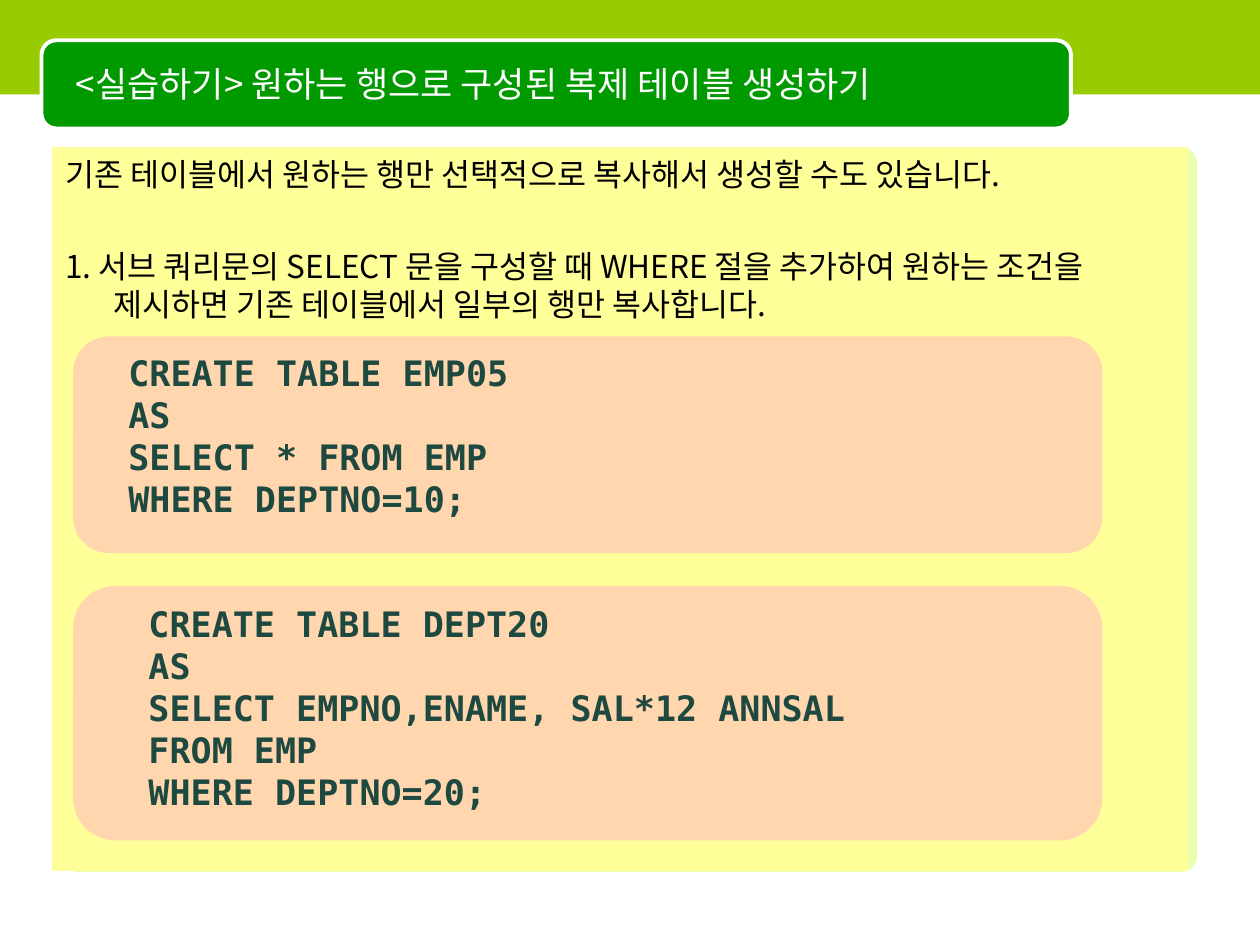
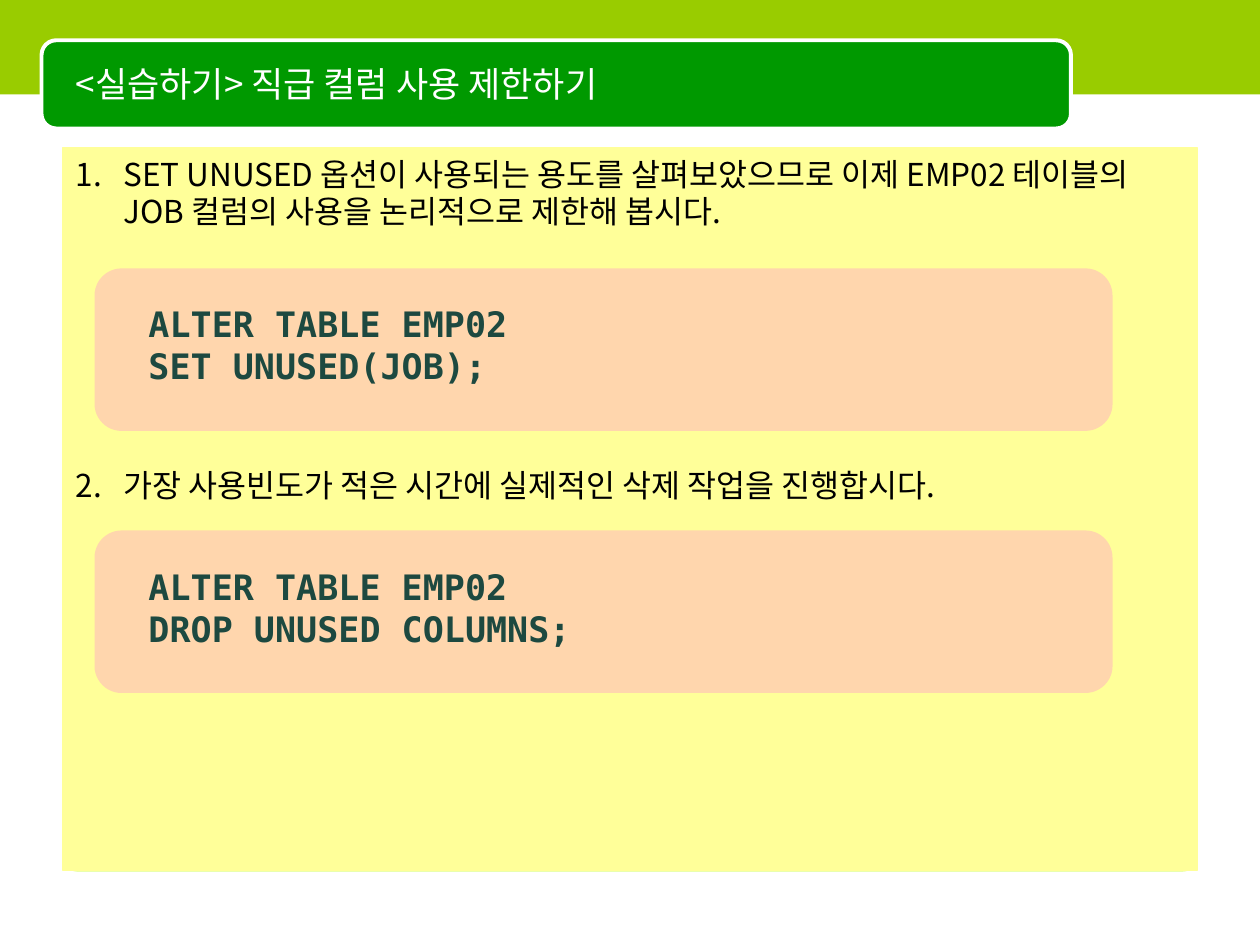
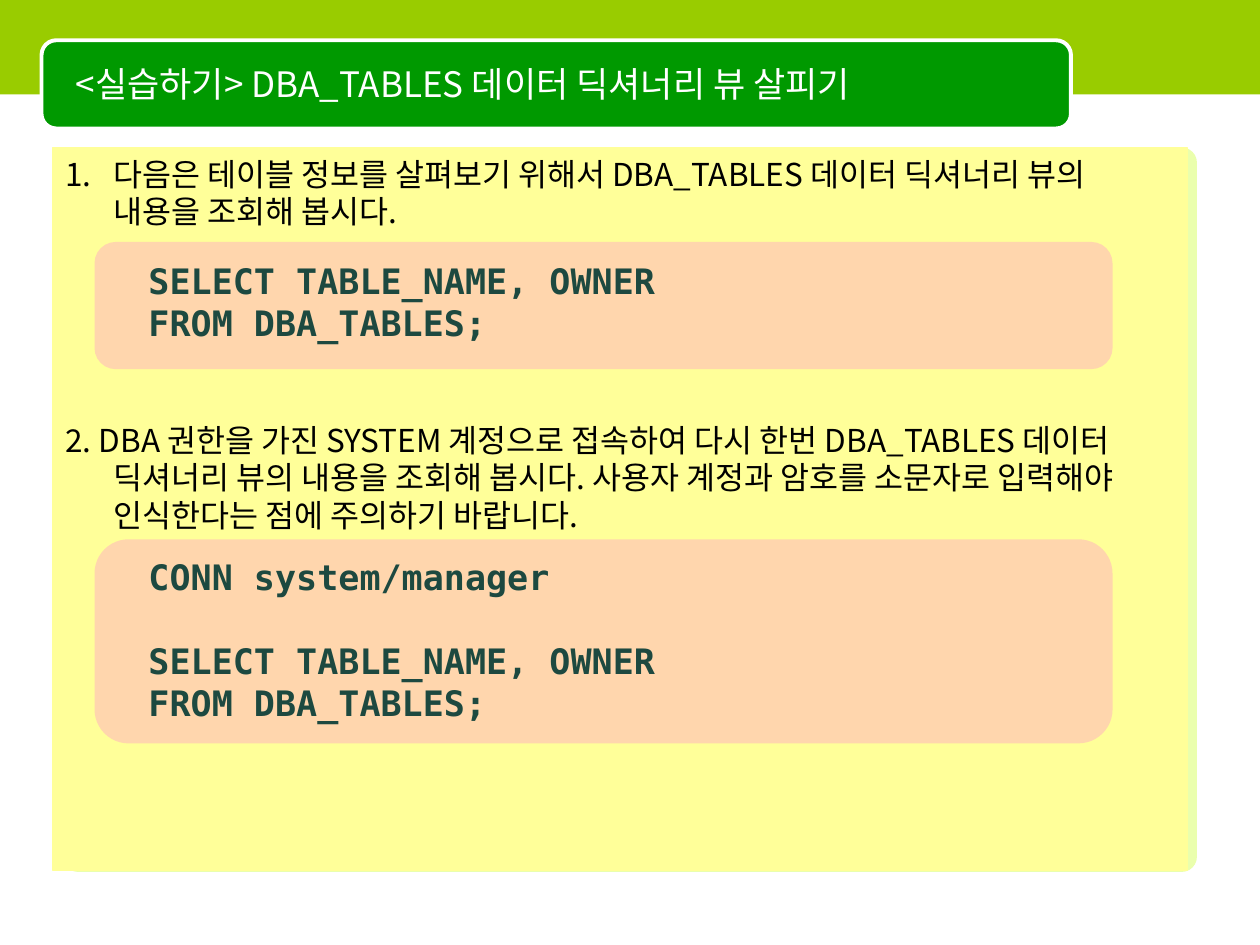
import pptx
import pptx.util
import pptx.dml.color
import pptx.enum.shapes
import pptx.enum.text
from lxml import etree
from pptx.oxml.ns import qn

Inches, Pt = pptx.util.Inches, pptx.util.Pt
SHAPES = pptx.enum.shapes.MSO_SHAPE
TEXT = pptx.enum.text


class Theme:
    band, title_band, white = "99CC00", "009900", "FFFFFF"
    backing, panel, code_panel = "CCFF33", "FFFF99", "FF99CC"
    body_color, code_color = "000000", "1D4940"
    body_font, code_font = "Noto Sans CJK KR", "DejaVu Sans Mono"
    title_size, body_size, code_size = 20, 18, 20
    body_leading, code_leading = 21.5, 24
    soft = 40  # percent opacity


# Content: steps are (text, numbered automatically, points before);
# code blocks hold panel place, inset of the code (x, y), and statements.
EXERCISES = [
    {
        "title": "<실습하기> 원하는 행으로 구성된 복제 테이블 생성하기",
        "panel_left": 0.42,
        "steps": [
            ("기존 테이블에서 원하는 행만 선택적으로 복사해서 생성할 수도 있습니다.", False, 0),
            ("1. 서브 쿼리문의 SELECT 문을 구성할 때 WHERE 절을 추가하여 원하는 조건을 "
             "제시하면 기존 테이블에서 일부의 행만 복사합니다.", False, 31.5),
        ],
        "code": [
            ((0.58, 2.67, 8.17, 1.72), (0.34, 0.07),
             [["CREATE TABLE EMP05", "AS", "SELECT * FROM EMP", "WHERE DEPTNO=10;"]]),
            ((0.58, 4.65, 8.17, 2.02), (0.5, 0.08),
             [["CREATE TABLE DEPT20", "AS", "SELECT EMPNO,ENAME, SAL*12 ANNSAL",
               "FROM EMP", "WHERE DEPTNO=20;"]]),
        ],
    },
    {
        "title": "<실습하기> 직급 컬럼 사용 제한하기",
        "panel_left": 0.5,
        "steps": [
            ("SET UNUSED 옵션이 사용되는 용도를 살펴보았으므로 이제 EMP02 테이블의 "
             "JOB 컬럼의 사용을 논리적으로 제한해 봅시다.", True, 0),
            ("가장 사용빈도가 적은 시간에 실제적인 삭제 작업을 진행합시다.", True, 135),
        ],
        "code": [
            ((0.75, 2.13, 8.08, 1.29), (0.33, 0.22),
             [["ALTER TABLE EMP02", "SET UNUSED(JOB);"]]),
            ((0.75, 4.21, 8.08, 1.29), (0.33, 0.23),
             [["ALTER TABLE EMP02", "DROP UNUSED COLUMNS;"]]),
        ],
    },
    {
        "title": "<실습하기> DBA_TABLES 데이터 딕셔너리 뷰 살피기",
        "panel_left": 0.42,
        "steps": [
            ("다음은 테이블 정보를 살펴보기 위해서 DBA_TABLES 데이터 딕셔너리 뷰의 "
             "내용을 조회해 봅시다.", True, 0),
            ("2. DBA 권한을 가진 SYSTEM 계정으로 접속하여 다시 한번 DBA_TABLES 데이터 "
             "딕셔너리 뷰의 내용을 조회해 봅시다. 사용자 계정과 암호를 소문자로 입력해야 "
             "인식한다는 점에 주의하기 바랍니다.", False, 109),
        ],
        "code": [
            ((0.75, 1.92, 8.08, 1.01), (0.33, 0.09),
             [["SELECT TABLE_NAME, OWNER", "FROM DBA_TABLES;"]]),
            ((0.75, 4.28, 8.08, 1.62), (0.33, 0.08),
             [["CONN system/manager"], ["SELECT TABLE_NAME, OWNER", "FROM DBA_TABLES;"]]),
        ],
    },
]


def rgb(color):
    return pptx.dml.color.RGBColor.from_string(color)


def place(shape, left, top, width, height):
    shape.left, shape.top = Inches(left), Inches(top)
    shape.width, shape.height = Inches(width), Inches(height)


def write(paragraph, text, *, size, color, font=Theme.body_font, bold=False,
          before=0, leading=None, hanging=0, numbered=False):
    """Fill one paragraph with formatted text."""
    props = paragraph._p.get_or_add_pPr()
    props.set("marL", str(Inches(hanging)))
    props.set("indent", str(-Inches(hanging)))
    if numbered:
        etree.SubElement(props, qn("a:buFont"), typeface=font)
        etree.SubElement(props, qn("a:buAutoNum"), type="arabicPeriod")
    else:
        etree.SubElement(props, qn("a:buNone"))
    paragraph.alignment = TEXT.PP_ALIGN.LEFT
    paragraph.space_before = Pt(before)
    if leading:
        paragraph.line_spacing = Pt(leading)
    run = paragraph.add_run()
    run.text = text
    run.font.size, run.font.bold, run.font.name = Pt(size), bold, font
    run.font.color.rgb = rgb(color)
    etree.SubElement(run.font._element, qn("a:ea"), typeface=font)


def next_paragraph(frame, index):
    return frame.add_paragraph() if index else frame.paragraphs[0]


def add_panel(slide, kind, box, fill, corner=None, opacity=None, line=None):
    panel = slide.shapes.add_shape(kind, *map(Inches, box))
    panel.shadow.inherit = False
    panel.fill.solid()
    panel.fill.fore_color.rgb = rgb(fill)
    if opacity:
        color = panel.element.find(".//" + qn("a:srgbClr"))
        etree.SubElement(color, qn("a:alpha"), val=str(opacity * 1000))
    if corner:
        panel.adjustments[0] = corner
    if line:
        panel.line.color.rgb = rgb(line)
        panel.line.width = Pt(2.25)
    else:
        panel.line.fill.background()
    return panel


def dress_layout(layout, slide):
    """Move the shared bands into the layout and set its title place."""
    for placeholder in list(layout.placeholders):
        if placeholder.placeholder_format.idx >= 10:
            placeholder.element.getparent().remove(placeholder.element)
    bands = [
        add_panel(slide, SHAPES.ROUNDED_RECTANGLE, (0.5, 1.17, 9, 5.75),
                  Theme.backing, corner=0.021, opacity=Theme.soft),
        add_panel(slide, SHAPES.RECTANGLE, (0, 0, 10, 0.75), Theme.band),
        add_panel(slide, SHAPES.ROUNDED_RECTANGLE, (0.33, 0.32, 8.17, 0.7),
                  Theme.title_band, corner=0.167, line=Theme.white),
    ]
    for position, band in enumerate(bands, start=2):
        layout.shapes.element.insert(position, band.element)
    title = layout.placeholders[0]
    place(title, 0.5, 0.35, 7.92, 0.62)
    title.text_frame.auto_size = TEXT.MSO_AUTO_SIZE.NONE
    title.text_frame.vertical_anchor = TEXT.MSO_ANCHOR.MIDDLE


def add_steps(slide, left, steps):
    body = slide.placeholders[1]
    place(body, left, 1.17, 9, 5.74)
    body.fill.solid()
    body.fill.fore_color.rgb = rgb(Theme.panel)
    body.line.color.rgb = rgb(Theme.panel)
    body.line.width = Pt(0.75)
    frame = body.text_frame
    frame.auto_size = TEXT.MSO_AUTO_SIZE.NONE
    frame.margin_top = Inches(0.06)
    for index, (text, numbered, before) in enumerate(steps):
        write(next_paragraph(frame, index), text, size=Theme.body_size,
              color=Theme.body_color, leading=Theme.body_leading,
              hanging=0.38, numbered=numbered, before=before)


def add_code(slide, box, inset, statements):
    add_panel(slide, SHAPES.ROUNDED_RECTANGLE, box, Theme.code_panel,
              corner=0.167, opacity=Theme.soft)
    left, top, width, height = box
    dx, dy = inset
    listing = slide.shapes.add_textbox(
        *map(Inches, (left + dx, top + dy, 7.45, height - 2 * dy)))
    frame = listing.text_frame
    frame.word_wrap = True
    index = 0
    for statement in statements:
        for row, text in enumerate(statement):
            # A new statement starts one line lower
            gap = Theme.code_leading if index and row == 0 else 0
            write(next_paragraph(frame, index), text, size=Theme.code_size,
                  color=Theme.code_color, font=Theme.code_font, bold=True,
                  leading=Theme.code_leading, before=gap)
            index += 1


def main():
    deck = pptx.Presentation()
    deck.slide_width, deck.slide_height = Inches(10), Inches(7.5)
    layout = deck.slide_layouts[1]
    for number, exercise in enumerate(EXERCISES):
        slide = deck.slides.add_slide(layout)
        if number == 0:
            dress_layout(layout, slide)
        write(slide.shapes.title.text_frame.paragraphs[0], exercise["title"],
              size=Theme.title_size, color=Theme.white)
        add_steps(slide, exercise["panel_left"], exercise["steps"])
        for block in exercise["code"]:
            add_code(slide, *block)
    deck.save("out.pptx")


if __name__ == "__main__":
    main()
